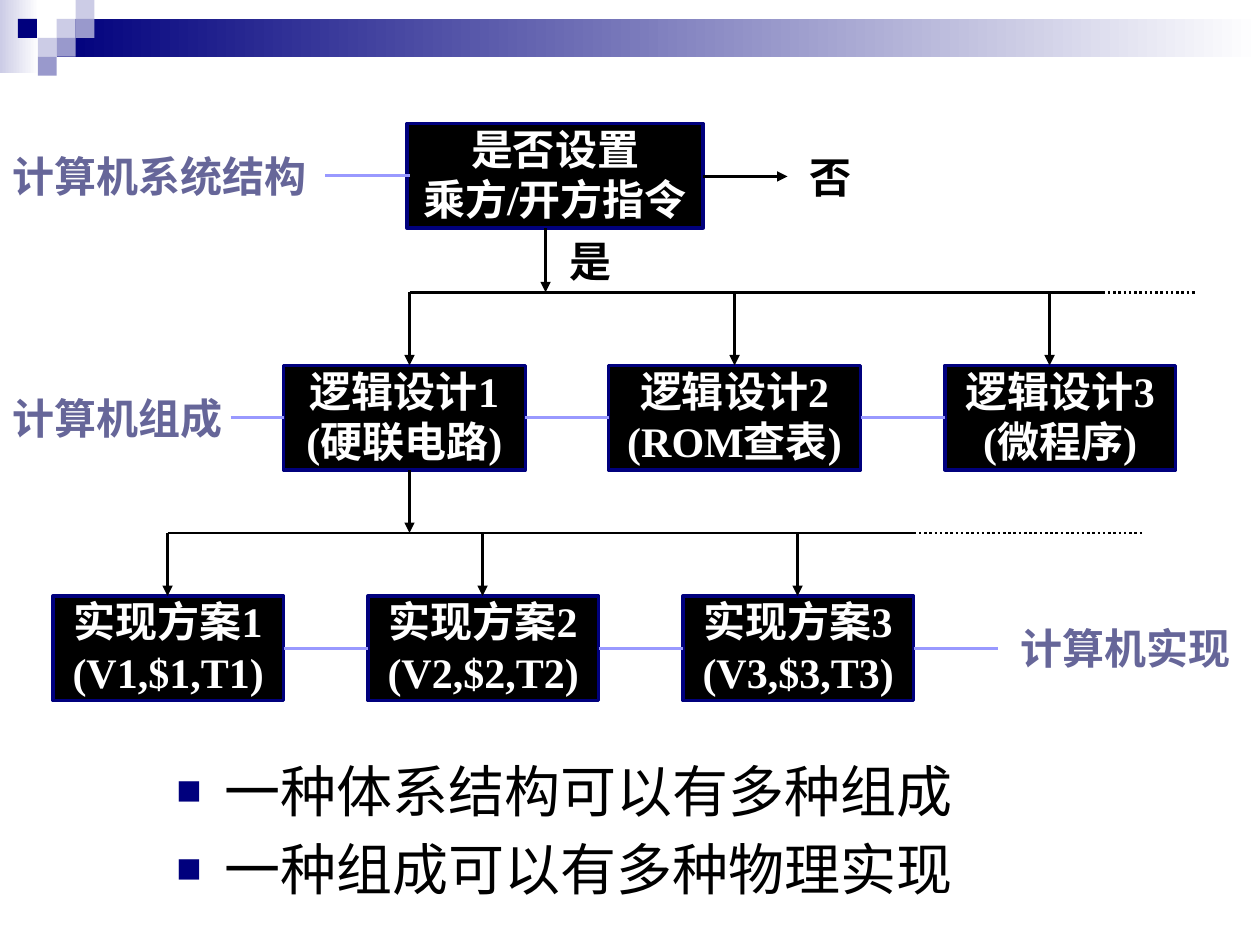
import lxml.etree
import pptx
import pptx.dml.color
import pptx.enum.dml
import pptx.enum.shapes
import pptx.enum.text
import pptx.oxml.ns
import pptx.util
from pptx.util import Inches

NAVY, LILAC, VIOLET, WHITE, BLACK = "00007D", "CCCCE6", "9999CC", "FFFFFF", "000000"
LABEL_COLOR, LINK_COLOR = "666699", "9999FF"
BOX_HEIGHT = 0.83
LABEL_HEIGHT = 0.5


def rgb(color):
    return pptx.dml.color.RGBColor.from_string(color)


def add_xml(parent, tag, **attributes):
    return lxml.etree.SubElement(parent, pptx.oxml.ns.qn(tag), **attributes)


def write(frame, *lines, size=24, font="Times New Roman", color=BLACK, bold=True,
          align=pptx.enum.text.PP_ALIGN.LEFT, inset=None, bullet=None, gap=0):
    frame.word_wrap = True
    frame.auto_size = pptx.enum.text.MSO_AUTO_SIZE.NONE
    frame.vertical_anchor = pptx.enum.text.MSO_ANCHOR.TOP
    if inset is not None:
        frame.margin_left = frame.margin_right = Inches(inset)
        frame.margin_top = frame.margin_bottom = Inches(inset)
    for index, line in enumerate(lines):
        paragraph = frame.paragraphs[0] if index == 0 else frame.add_paragraph()
        if bullet:
            properties = paragraph._p.get_or_add_pPr()
            properties.set("marL", str(Inches(0.38)))
            properties.set("indent", str(-Inches(0.38)))
            add_xml(add_xml(properties, "a:buClr"), "a:srgbClr", val=NAVY)
            add_xml(properties, "a:buSzPct", val="75000")
            add_xml(properties, "a:buFont", typeface="Arial")
            add_xml(properties, "a:buChar", char=bullet)
        paragraph.alignment = align
        paragraph.space_before = pptx.util.Pt(gap if index else 0)
        run = paragraph.add_run()
        run.text = line
        run.font.size = pptx.util.Pt(size)
        run.font.name = font
        run.font.bold = bold
        run.font.color.rgb = rgb(color)


def add_rect(slide, left, top, width, height, fill, fade_to=None, line=None):
    rect = slide.shapes.add_shape(
        pptx.enum.shapes.MSO_SHAPE.RECTANGLE,
        Inches(left), Inches(top), Inches(width), Inches(height))
    rect.shadow.inherit = False
    if fade_to:
        rect.fill.gradient()
        rect.fill.gradient_angle = 0
        for stop, color in zip(rect.fill.gradient_stops, (fill, fade_to)):
            stop.color.rgb = rgb(color)
    else:
        rect.fill.solid()
        rect.fill.fore_color.rgb = rgb(fill)
    if line:
        rect.line.color.rgb = rgb(line)
        rect.line.width = pptx.util.Pt(2)
    else:
        rect.line.fill.background()
    return rect


def add_line(slide, x1, y1, x2, y2, color=BLACK, arrow=False, dotted=False):
    line = slide.shapes.add_connector(
        pptx.enum.shapes.MSO_CONNECTOR.STRAIGHT,
        Inches(x1), Inches(y1), Inches(x2), Inches(y2))
    line.line.color.rgb = rgb(color)
    line.line.width = pptx.util.Pt(1.5)
    if dotted:
        line.line.dash_style = pptx.enum.dml.MSO_LINE.ROUND_DOT
    if arrow:
        add_xml(line.line._get_or_add_ln(), "a:tailEnd", type="triangle")
    add_xml(line._element.spPr, "a:effectLst")


def add_label(slide, left, top, width, text):
    label = add_rect(slide, left, top, width, LABEL_HEIGHT, WHITE)
    write(label.text_frame, text, color=LABEL_COLOR)


def add_answer(slide, left, top, text):
    answer = slide.shapes.add_textbox(
        Inches(left), Inches(top), Inches(0.58), Inches(LABEL_HEIGHT))
    write(answer.text_frame, text)


def draw_banner(slide, left, top):
    cell = 0.15
    add_rect(slide, left, top, 0.31, 0.58, LILAC, fade_to=WHITE)
    add_rect(slide, left + 3 * cell, top + cell, 9.55, 2 * cell, NAVY, fade_to=WHITE)
    mosaic = [(3, 1, LILAC), (4, 0, LILAC), (4, 1, VIOLET), (2, 2, LILAC),
              (0.95, 1, NAVY), (3, 2, VIOLET), (2, 3, VIOLET)]
    for column, row, color in mosaic:
        add_rect(slide, left + column * cell, top + row * cell, cell, cell, color)


def draw_level(slide, top, boxes, label, label_left, label_width, links):
    for left, width, *lines in boxes:
        box = add_rect(slide, left, top, width, BOX_HEIGHT, BLACK, line=NAVY)
        write(box.text_frame, *lines, color=WHITE, inset=0,
              align=pptx.enum.text.PP_ALIGN.CENTER)
    middle = top + BOX_HEIGHT / 2
    add_label(slide, label_left, middle - LABEL_HEIGHT / 2, label_width, label)
    for start, end in links:
        add_line(slide, start, middle, end, middle, color=LINK_COLOR)


def draw_branch(slide, top, bar, bottom, source, targets, solid_end, dotted_end):
    add_line(slide, source, top, source, bar, arrow=True)
    add_line(slide, targets[0], bar, solid_end, bar)
    add_line(slide, solid_end, bar, dotted_end, bar, dotted=True)
    for target in targets:
        add_line(slide, target, bar, target, bottom, arrow=True)


def draw_summary(body, left, top, width, height):
    body.left, body.top = Inches(left), Inches(top)
    body.width, body.height = Inches(width), Inches(height)
    write(body.text_frame, "一种体系结构可以有多种组成", "一种组成可以有多种物理实现",
          size=32, font="Arial", bold=False, bullet="■", gap=6.4)


def main():
    deck = pptx.Presentation()
    deck.slide_width, deck.slide_height = Inches(10), Inches(7.5)
    slide = deck.slides.add_slide(deck.slide_layouts[1])
    title = slide.shapes.title._element
    title.getparent().remove(title)

    draw_banner(slide, 0, 0)
    draw_summary(slide.placeholders[1], 1.3, 5.95, 7.24, 1.26)

    question_top, design_top, scheme_top = 0.98, 2.9, 4.73
    draw_level(slide, question_top, [(3.23, 2.35, "是否设置", "乘方/开方指令")],
               "计算机系统结构", 0, 2.58, [(2.58, 3.25)])
    draw_level(slide, design_top,
               [(2.25, 1.92, "逻辑设计1", "(硬联电路)"),
                (4.83, 2, "逻辑设计2", "(ROM查表)"),
                (7.5, 1.83, "逻辑设计3", "(微程序)")],
               "计算机组成", 0, 1.92, [(1.83, 2.25), (4.17, 4.83), (6.83, 7.5)])
    scheme_lefts = [0.42 + 2.5 * index for index in range(3)]
    draw_level(slide, scheme_top,
               [(left, 1.83, f"实现方案{n}", f"(V{n},${n},T{n})")
                for n, left in enumerate(scheme_lefts, 1)],
               "计算机实现", 8, 1.92,
               [(left + 1.83, left + 2.5) for left in scheme_lefts])

    draw_branch(slide, question_top + BOX_HEIGHT, 2.32, design_top,
                4.33, [3.25, 5.83, 8.33], 8.75, 9.5)
    draw_branch(slide, design_top + BOX_HEIGHT, 4.23, scheme_top,
                3.25, [1.33, 3.83, 6.33], 7.25, 9.08)
    add_answer(slide, 4.42, 1.82, "是")
    add_line(slide, 5.58, 1.4, 6.25, 1.4, arrow=True)
    add_answer(slide, 6.33, 1.15, "否")
    deck.save("out.pptx")


if __name__ == "__main__":
    main()
